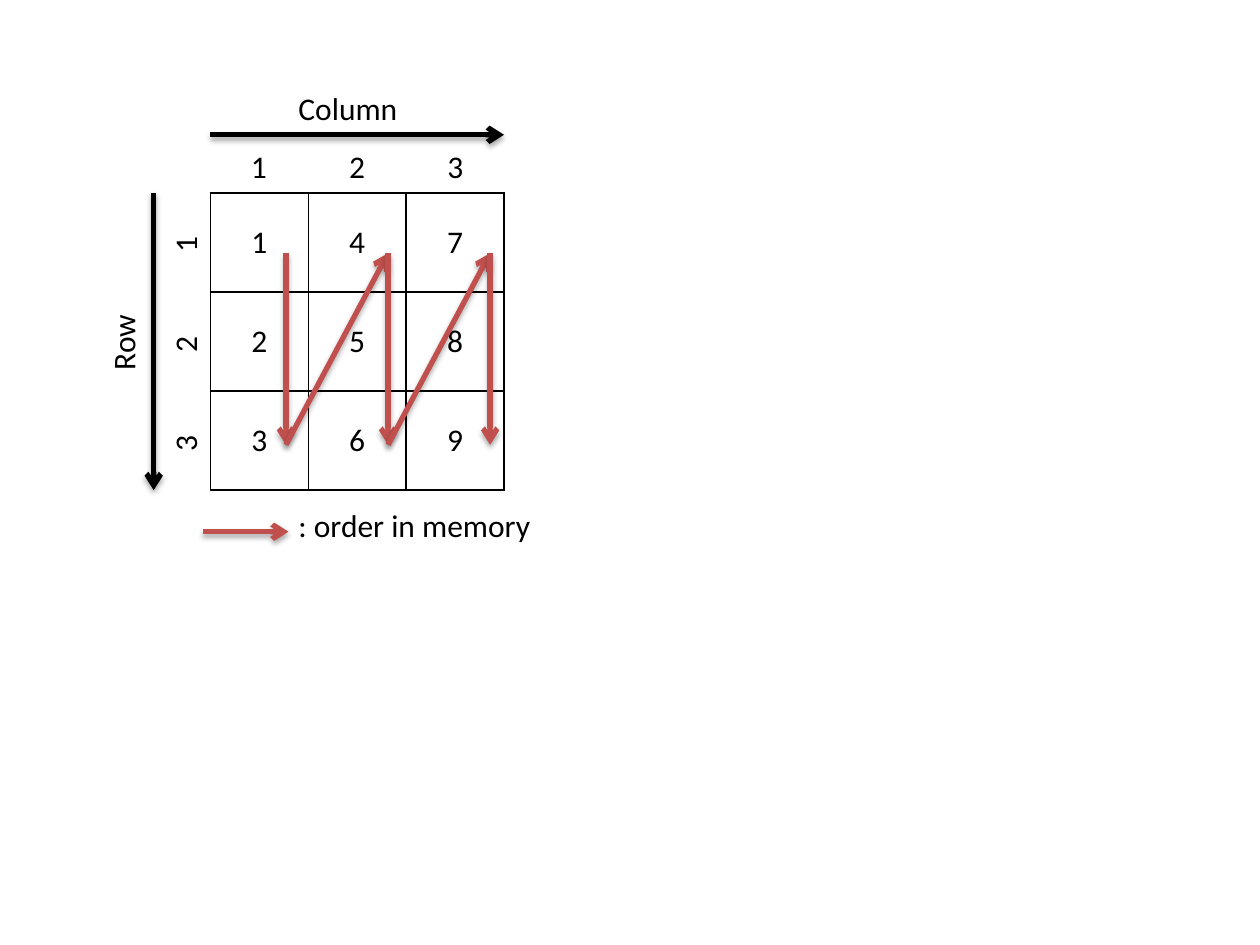
from itertools import pairwise

from lxml import etree
from pptx import Presentation
from pptx import util as u
from pptx.dml.color import RGBColor
from pptx.enum import shapes, text
from pptx.oxml import parse_xml
from pptx.oxml.ns import nsdecls, qn

BLACK, RED = "000000", "C0504D"
FONT = {"name": "Calibri", "size": u.Pt(18), "bold": False}
CELL_WIDTH, CELL_HEIGHT = 0.78, 0.79
GRID_BOX = (1.67, 1.53, 2.33, 2.36)


def color(value):
    """Return the colour for a hex string."""
    return RGBColor.from_string(value)


def set_values(target, values):
    """Set attributes from a dict of format values."""
    for name, value in values.items():
        setattr(target, name, value)


def write(paragraph, words, align):
    """Write words into a paragraph in the slide's font."""
    paragraph.alignment = align
    run = paragraph.add_run()
    run.text = words
    set_values(run.font, FONT)
    run.font.color.rgb = color(BLACK)


def add_label(slide, words, box, rotation=0, align=text.PP_ALIGN.LEFT):
    """Add an unwrapped text label, turned if asked."""
    shape = slide.shapes.add_textbox(*map(u.Inches, box))
    shape.rotation = rotation
    set_values(shape.text_frame, {
        "word_wrap": False, "auto_size": text.MSO_AUTO_SIZE.SHAPE_TO_FIT_TEXT})
    write(shape.text_frame.paragraphs[0], words, align)


def add_arrow(slide, start, end, line_color):
    """Add a shadowed line with an open arrowhead at its end."""
    arrow = slide.shapes.add_connector(
        shapes.MSO_CONNECTOR.STRAIGHT, *map(u.Inches, (*start, *end)))
    arrow.line.width = u.Pt(3)
    arrow.line.color.rgb = color(line_color)
    etree.SubElement(arrow.line._get_or_add_ln(), qn("a:tailEnd"), type="arrow")
    arrow._element.spPr.append(parse_xml(
        f'<a:effectLst {nsdecls("a")}><a:outerShdw blurRad="40000" dist="23000" '
        'dir="5400000" rotWithShape="0"><a:srgbClr val="000000">'
        '<a:alpha val="35000"/></a:srgbClr></a:outerShdw></a:effectLst>'))


def add_borders(cell):
    """Draw a thin black border on every side of a cell."""
    properties = cell._tc.get_or_add_tcPr()
    for index, side in enumerate(("lnL", "lnR", "lnT", "lnB")):
        properties.insert(index, parse_xml(
            f'<a:{side} {nsdecls("a")} w="12700"><a:solidFill>'
            f'<a:srgbClr val="{BLACK}"/></a:solidFill></a:{side}>'))


def add_matrix(slide, box):
    """Add the three by three table, numbered down its columns."""
    table = slide.shapes.add_table(3, 3, *map(u.Inches, box)).table
    set_values(table, {"first_row": False, "horz_banding": False})
    for row_index, row in enumerate(table.rows):
        row.height = u.Inches(box[3] / 3)
        for column_index, cell in enumerate(row.cells):
            cell.fill.background()
            cell.vertical_anchor = text.MSO_ANCHOR.MIDDLE
            add_borders(cell)
            write(cell.text_frame.paragraphs[0],
                  str(column_index * 3 + row_index + 1), text.PP_ALIGN.CENTER)


def add_axes(slide, box):
    """Add the row and column arrows, titles and numbers around the table."""
    left, top, width, height = box
    add_arrow(slide, (left - 0.45, top), (left - 0.45, top + height), BLACK)
    add_label(slide, "Row", (left - 1.02, top + 0.98, 0.65, 0.4), 270)
    add_arrow(slide, (left, top - 0.46), (left + width, top - 0.46), BLACK)
    add_label(slide, "Column", (left + 0.6, top - 0.87, 0.99, 0.4))
    for index in range(3):
        number = str(index + 1)
        row_top = top + 0.21 + index * CELL_HEIGHT
        column_left = left + 0.22 + index * CELL_WIDTH
        add_label(slide, number, (left - 0.37, row_top, 0.33, 0.4), 270,
                  text.PP_ALIGN.CENTER)
        add_label(slide, number, (column_left, top - 0.41, 0.33, 0.4),
                  align=text.PP_ALIGN.CENTER)


def add_memory_path(slide, box):
    """Add the zigzag that runs down each column and up to the next."""
    left, top = box[:2]
    points = [(left + 0.6 + column * 0.81, top + drop)
              for column in range(3) for drop in (0.48, 2)]
    for start, end in pairwise(points):
        add_arrow(slide, start, end, RED)


def add_legend(slide, box):
    """Add the key that explains the red arrows."""
    left, top, width, height = box
    add_arrow(slide, (left, top + 0.25), (left + 0.68, top + 0.25), RED)
    add_label(slide, ": order in memory",
              (left + 0.66, top, width - 0.66, height))


def main():
    """Build and save the slide."""
    presentation = Presentation()
    set_values(presentation, {
        "slide_width": u.Inches(10), "slide_height": u.Inches(7.5)})
    slide = presentation.slides.add_slide(presentation.slide_layouts[6])
    for add_part in (add_matrix, add_axes, add_memory_path):
        add_part(slide, GRID_BOX)
    add_legend(slide, (1.61, 3.97, 2.73, 0.4))
    presentation.save("out.pptx")


main()
